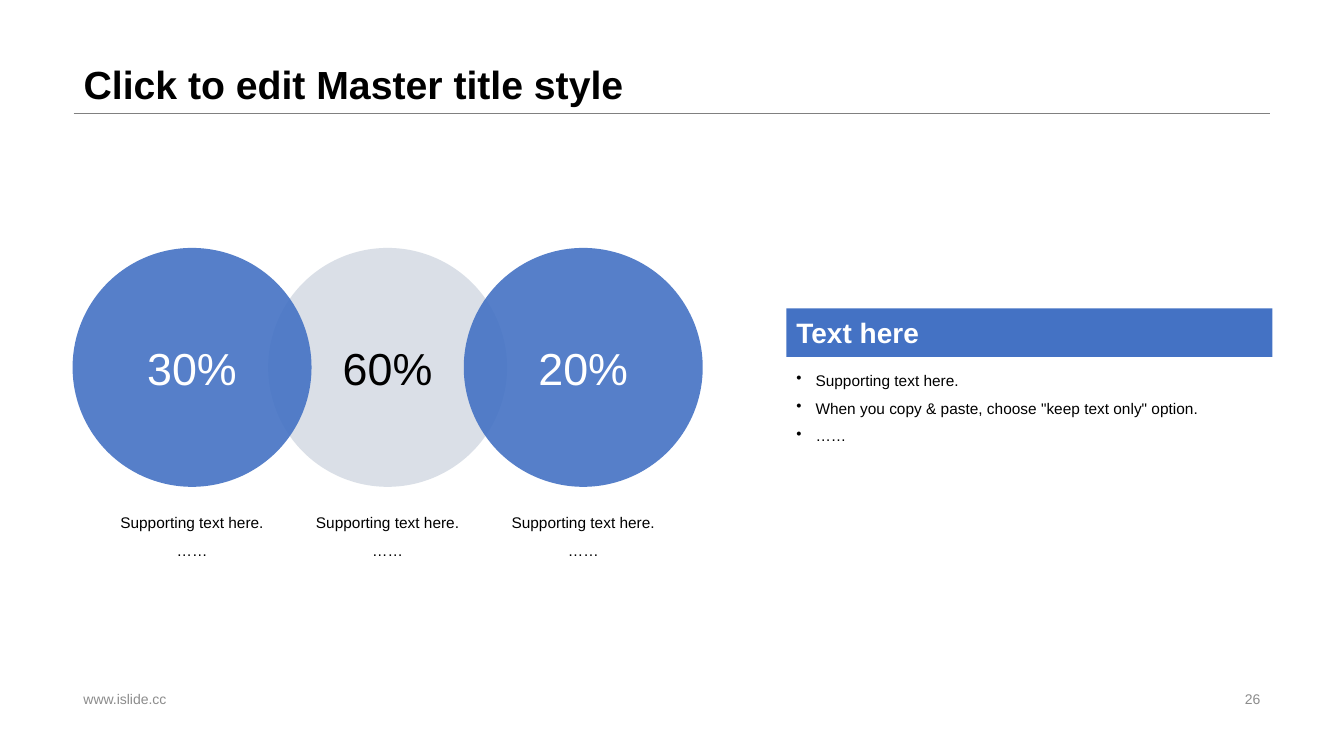
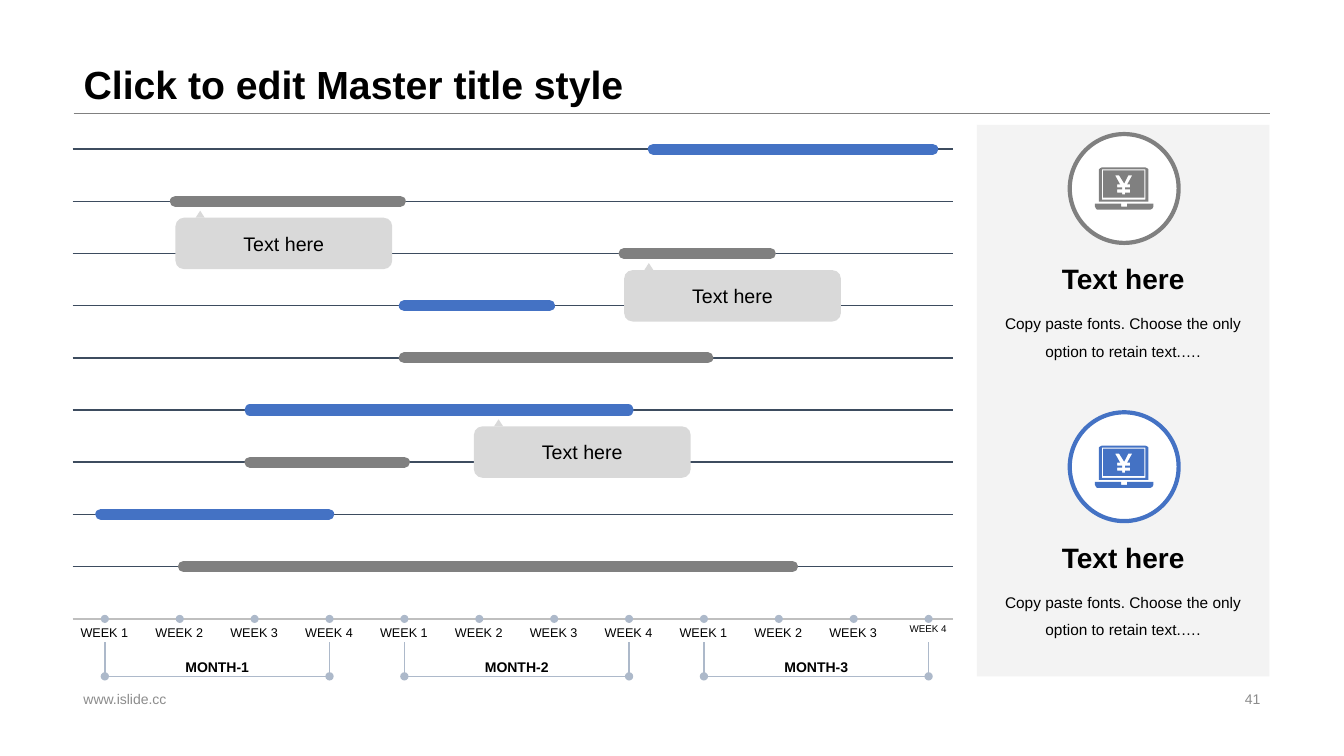
import lxml.etree
import pptx
import pptx.dml.color
import pptx.enum.shapes
import pptx.enum.text
import pptx.oxml.ns
import pptx.util

Inches = pptx.util.Inches
RGBColor = pptx.dml.color.RGBColor
Shape = pptx.enum.shapes.MSO_SHAPE
Align = pptx.enum.text.PP_ALIGN
Anchor = pptx.enum.text.MSO_ANCHOR
qn = pptx.oxml.ns.qn

BLACK = RGBColor(0x00, 0x00, 0x00)
WHITE = RGBColor(0xFF, 0xFF, 0xFF)
BLUE = RGBColor(0x44, 0x72, 0xC4)
PALE_BLUE = RGBColor(0xD6, 0xDC, 0xE5)
SLATE = RGBColor(0x3D, 0x4C, 0x5F)
STEEL = RGBColor(0xAD, 0xB9, 0xCA)
GRAY = RGBColor(0x80, 0x80, 0x80)
AXIS_GRAY = RGBColor(0xBF, 0xBF, 0xBF)
CALLOUT_GRAY = RGBColor(0xD9, 0xD9, 0xD9)
PANEL_GRAY = RGBColor(0xF2, 0xF2, 0xF2)
FOOTER_GRAY = RGBColor(0x8C, 0x8C, 0x8C)

LAPTOP = [
    [(0, 36), (26, 36), (26, 39), (32, 39), (32, 36), (58, 36), (58, 39),
     (57, 41), (55, 42), (2, 42), (1, 41), (0, 39)],
    [(20, 8), (25, 17), (22, 17), (22, 20), (27, 20), (27, 22), (22, 22),
     (22, 25), (27, 25), (27, 27), (30, 27), (30, 25), (35, 25), (35, 22),
     (30, 22), (30, 20), (35, 20), (35, 17), (32, 17), (37, 8), (33, 8),
     (29, 16), (24, 8)],
    [(8, 3), (49, 3), (49, 30), (8, 30)],
    [(7, 2), (7, 32), (50, 32), (50, 2)],
    [(7, 0), (50, 0), (52, 1), (53, 2), (53, 34), (4, 34), (4, 2), (5, 1)],
]


class SlideBuilder:
    font_name = "Arial"
    left, right = 0.73, 12.6
    rule_top = 1.12

    def __init__(self, deck):
        self.deck = deck
        self.page = None

    def new_page(self, title, number):
        self.page = self.deck.slides.add_slide(self.deck.slide_layouts[5])
        self.line(self.left, self.rule_top, self.right, self.rule_top, GRAY, 0.25)
        box = self.page.shapes.title
        box.left, box.top = Inches(self.left), Inches(0)
        box.width = Inches(self.right - self.left)
        box.height = Inches(self.rule_top)
        self.fill_text(box, title, 28, bold=True, anchor=Anchor.BOTTOM, spacing=0.9)
        self.text(self.left, 6.82, 4.53, 0.23, "www.islide.cc", 10,
                  color=FOOTER_GRAY, anchor=Anchor.MIDDLE)
        self.text(9.42, 6.82, 3.18, 0.23, number, 10, color=FOOTER_GRAY,
                  align=Align.RIGHT, anchor=Anchor.MIDDLE)

    def fill_text(self, box, text, size, color=BLACK, bold=False, align=Align.LEFT,
                  anchor=Anchor.TOP, spacing=None, wrap=True, margin=None,
                  bullets=False):
        frame = box.text_frame
        frame.text = text
        frame.word_wrap = wrap
        frame.auto_size = pptx.enum.text.MSO_AUTO_SIZE.NONE
        frame.vertical_anchor = anchor
        if margin is not None:
            frame.margin_left = frame.margin_right = Inches(margin)
            frame.margin_top = frame.margin_bottom = Inches(margin)
        for para in frame.paragraphs:
            para.alignment = align
            if spacing:
                para.line_spacing = spacing
            if bullets:
                properties = para._p.get_or_add_pPr()
                properties.set("marL", str(Inches(0.19)))
                properties.set("indent", str(-Inches(0.19)))
                lxml.etree.SubElement(properties, qn("a:buChar")).set("char", "•")
            for span in para.runs:
                span.font.name = self.font_name
                span.font.size = pptx.util.Pt(size)
                span.font.bold = bold
                span.font.color.rgb = color

    def text(self, left, top, width, height, text, size, **style):
        box = self.page.shapes.add_textbox(
            Inches(left), Inches(top), Inches(width), Inches(height))
        self.fill_text(box, text, size, **style)

    def paint(self, shape, fill, opacity=100, outline=None):
        shape.shadow.inherit = False
        shape.fill.solid()
        shape.fill.fore_color.rgb = fill
        if opacity < 100:
            color = shape._element.spPr.find(qn("a:solidFill"))[0]
            lxml.etree.SubElement(color, qn("a:alpha")).set("val", str(opacity * 1000))
        if outline is None:
            shape.line.fill.background()
        else:
            shape.line.color.rgb = outline
            shape.line.width = pptx.util.Pt(3)

    def shape(self, kind, left, top, width, height, fill, opacity=100, outline=None):
        shape = self.page.shapes.add_shape(
            kind, Inches(left), Inches(top), Inches(width), Inches(height))
        self.paint(shape, fill, opacity, outline)
        return shape

    def line(self, x1, y1, x2, y2, color, width, rounded=False, dot=False):
        line = self.page.shapes.add_connector(
            pptx.enum.shapes.MSO_CONNECTOR.STRAIGHT,
            Inches(x1), Inches(y1), Inches(x2), Inches(y2))
        line.line.color.rgb = color
        line.line.width = pptx.util.Pt(width)
        stroke = line._element.spPr.find(qn("a:ln"))
        if rounded:
            stroke.set("cap", "rnd")
        if dot:
            lxml.etree.SubElement(stroke, qn("a:tailEnd")).set("type", "oval")
        lxml.etree.SubElement(line._element.spPr, qn("a:effectLst"))

    def laptop(self, left, top, color):
        outline_builder = self.page.shapes.build_freeform(
            *LAPTOP[0][0], scale=Inches(0.01))
        for outline in LAPTOP:
            outline_builder.move_to(*outline[0])
            outline_builder.add_line_segments(outline[1:], close=True)
        icon = outline_builder.convert_to_shape(Inches(left), Inches(top))
        self.paint(icon, color)

    def percent_circle(self, left, value, fill, color):
        circle = self.shape(Shape.OVAL, left, 2.46, 2.37, 2.37, fill, opacity=90)
        self.fill_text(circle, value, 32, color=color, align=Align.CENTER,
                       anchor=Anchor.MIDDLE, wrap=False)

    def callout(self, left, top):
        bubble = self.shape(Shape.ROUNDED_RECTANGLE, left, top, 2.15, 0.51, CALLOUT_GRAY)
        self.fill_text(bubble, "Text here", 14, align=Align.CENTER, anchor=Anchor.MIDDLE)
        self.shape(Shape.ISOSCELES_TRIANGLE, left + 0.2, top - 0.07, 0.09, 0.07,
                   CALLOUT_GRAY)

    def panel_card(self, top, color):
        left, width = 9.69, 2.9
        self.shape(Shape.OVAL, 10.61, top, 1.08, 1.08, WHITE, outline=color)
        self.laptop(10.86, top + 0.33, color)
        self.text(left, top + 1.14, width, 0.51, "Text here", 20, bold=True,
                  align=Align.CENTER, anchor=Anchor.BOTTOM)
        self.text(left, top + 1.65, width, 0.77,
                  "Copy paste fonts. Choose the only option to retain text.….", 11,
                  align=Align.CENTER, spacing=1.5)

    def month(self, name, start, end):
        base = 6.71
        self.line(start, base, end, base, STEEL, 1)
        for x in (start, end):
            self.line(x, 6.37, x, base, STEEL, 1, dot=True)
        self.text((start + end) / 2 - 0.42, 6.43, 0.84, 0.27, name, 10, bold=True,
                  align=Align.CENTER, anchor=Anchor.BOTTOM, wrap=False, margin=0)


def build_percent_page(builder):
    builder.new_page("Click to edit Master title style", "26")
    first, step = 0.72, 1.94
    circles = [(1, "60%", PALE_BLUE, BLACK), (2, "20%", BLUE, WHITE),
               (0, "30%", BLUE, WHITE)]
    for index, value, fill, color in circles:
        left = first + index * step
        builder.percent_circle(left, value, fill, color)
        builder.text(left + 0.24, 4.95, 1.89, 0.92, "Supporting text here.\n……", 11,
                     align=Align.CENTER, spacing=1.5)
    banner = builder.shape(Shape.RECTANGLE, 7.8, 3.06, 4.82, 0.48, BLUE)
    builder.fill_text(banner, "Text here", 20, color=WHITE, bold=True,
                      anchor=Anchor.MIDDLE, wrap=False)
    builder.text(7.8, 3.54, 4.82, 1.29,
                 "Supporting text here.\n"
                 "When you copy & paste, choose \"keep text only\" option.\n……",
                 11, spacing=1.5, bullets=True)


def build_schedule_page(builder):
    builder.new_page("Click to edit Master title style", "41")
    builder.shape(Shape.RECTANGLE, 9.69, 1.24, 2.9, 5.47, PANEL_GRAY, opacity=90)
    builder.panel_card(1.33, GRAY)
    builder.panel_card(4.09, BLUE)

    left, right, axis = 0.72, 9.45, 6.14
    builder.line(left, axis, right, axis, AXIS_GRAY, 1)
    weeks = [1.04 + index * (9.21 - 1.04) / 11 for index in range(12)]
    for index, x in enumerate(weeks):
        last = index == len(weeks) - 1
        builder.shape(Shape.OVAL, x - 0.04, axis - 0.04, 0.08, 0.08, STEEL)
        builder.text(x - 0.31, 6.15, 0.61, 0.25, f"WEEK {index % 4 + 1}",
                     7 if last else 9, align=Align.CENTER,
                     spacing=0.8 if last else None, wrap=last)
    for index in range(3):
        builder.month(f"MONTH-{index + 1}", weeks[index * 4], weeks[index * 4 + 3])

    bars = [(6.48, 9.25, BLUE), (1.74, 3.97, GRAY), (6.19, 7.64, GRAY),
            (4.01, 5.45, BLUE), (4.01, 7.02, GRAY), (2.48, 6.23, BLUE),
            (2.48, 4.01, GRAY), (1, 3.26, BLUE), (1.82, 7.86, GRAY)]
    row_step = (5.62 - 1.48) / (len(bars) - 1)
    for index, (start, end, color) in enumerate(bars):
        row = 1.48 + index * row_step
        builder.line(left, row, right, row, SLATE, 1)
        builder.line(start, row, end, row, color, 8, rounded=True)
    for callout_left, top in [(1.74, 2.16), (6.19, 2.68), (4.7, 4.23)]:
        builder.callout(callout_left, top)


def main():
    deck = pptx.Presentation()
    deck.slide_width = Inches(13.33)
    deck.slide_height = Inches(7.5)
    builder = SlideBuilder(deck)
    build_percent_page(builder)
    build_schedule_page(builder)
    deck.save("out.pptx")


if __name__ == "__main__":
    main()
